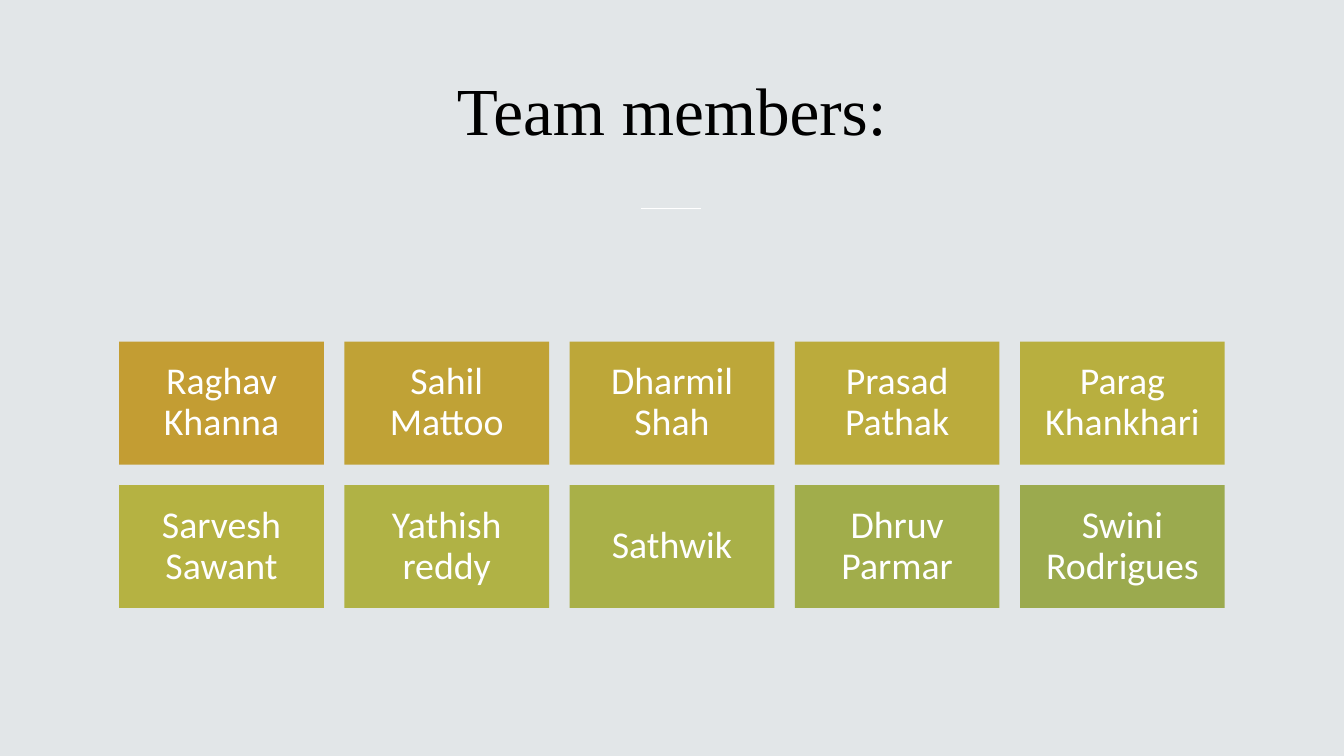
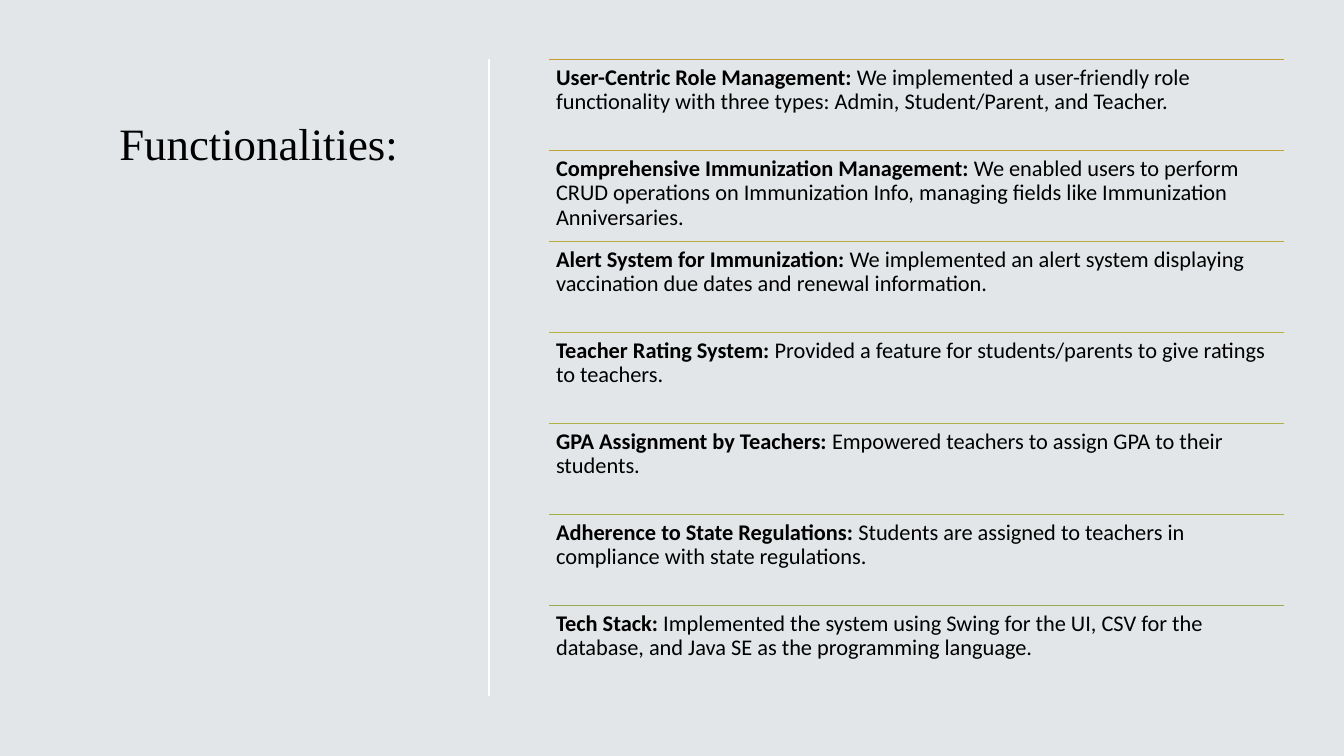
from dataclasses import dataclass

from lxml.etree import SubElement
from pptx import Presentation
from pptx.dml.color import RGBColor as RGB
from pptx.enum.shapes import MSO_CONNECTOR as Link, MSO_SHAPE as Shape
from pptx.enum.text import MSO_ANCHOR as Anchor, MSO_AUTO_SIZE as Fit, PP_ALIGN as Align
from pptx.oxml.ns import qn
from pptx.util import Pt


@dataclass(frozen=True)
class Theme:
    back: str = "E2E6E8"
    ink: str = "000000"
    light: str = "FFFFFF"
    head: str = "Times New Roman"
    body: str = "Calibri"
    large: int = 48
    title: int = 32
    name: int = 27
    text: int = 16


look = Theme()

team = [
    ("Raghav Khanna", "C39D33"),
    ("Sahil Mattoo", "C0A236"),
    ("Dharmil Shah", "BDA739"),
    ("Prasad Pathak", "BBAB3C"),
    ("Parag Khankhari", "B8AF3F"),
    ("Sarvesh Sawant", "B5B242"),
    ("Yathish reddy", "B0B245"),
    ("Sathwik", "A9B048"),
    ("Dhruv Parmar", "A1AD4B"),
    ("Swini Rodrigues", "9BAA4E"),
]

features = [
    ("User-Centric Role Management:",
     "We implemented a user-friendly role functionality with three types: "
     "Admin, Student/Parent, and Teacher.", "C39D33"),
    ("Comprehensive Immunization Management:",
     "We enabled users to perform CRUD operations on Immunization Info, "
     "managing fields like Immunization Anniversaries.", "BFA537"),
    ("Alert System for Immunization:",
     "We implemented an alert system displaying vaccination due dates "
     "and renewal information.", "BBAB3C"),
    ("Teacher Rating System:",
     "Provided a feature for students/parents to give ratings to teachers.", "B7B140"),
    ("GPA Assignment by Teachers:",
     "Empowered teachers to assign GPA to their students.", "B0B245"),
    ("Adherence to State Regulations:",
     "Students are assigned to teachers in compliance with state regulations.", "A5AE49"),
    ("Tech Stack:",
     "Implemented the system using Swing for the UI, CSV for the database, "
     "and Java SE as the programming language.", "9BAA4E"),
]


def write(frame, *runs, font=look.body, size=look.text, color=look.ink,
          align=Align.LEFT, anchor=Anchor.TOP, space=0.9, pad=(5, 5)):
    frame.word_wrap = True
    frame.auto_size = Fit.NONE
    frame.vertical_anchor = anchor
    frame.margin_left = frame.margin_right = Pt(pad[0])
    frame.margin_top = frame.margin_bottom = Pt(pad[1])
    para = frame.paragraphs[0]
    para.alignment = align
    para.line_spacing = space
    for text, bold in runs:
        run = para.add_run()
        run.text = text
        run.font.name = font
        run.font.size = Pt(size)
        run.font.bold = bold
        run.font.color.rgb = RGB.from_string(color)


def rule(slide, x1, y1, x2, y2, color, width=1):
    line = slide.shapes.add_connector(Link.STRAIGHT, Pt(x1), Pt(y1), Pt(x2), Pt(y2))
    line.line.color.rgb = RGB.from_string(color)
    line.line.width = Pt(width)
    SubElement(line._element.spPr, qn("a:effectLst"))


def start(deck, text, box, **style):
    slide = deck.slides.add_slide(deck.slide_layouts[5])
    title = slide.shapes.title
    title.left, title.top, title.width, title.height = map(Pt, box)
    write(title.text_frame, (text, False), font=look.head, space=1.1,
          pad=(7.2, 3.6), **style)
    return slide


def show_team(deck):
    slide = start(deck, "Team members:", (78, 20.2, 804, 109.4), size=look.large,
                  align=Align.CENTER, anchor=Anchor.MIDDLE)
    rule(slide, 458, 148.8, 500.4, 148.8, look.light)
    left, top, wide, cols = 85.1, 244.1, 146.25, 5
    high, gap = wide * 0.6, wide * 0.1
    for i, (name, fill) in enumerate(team):
        row, col = divmod(i, cols)
        tile = slide.shapes.add_shape(
            Shape.RECTANGLE, Pt(left + col * (wide + gap)),
            Pt(top + row * (high + gap)), Pt(wide), Pt(high))
        tile.shadow.inherit = False
        tile.fill.solid()
        tile.fill.fore_color.rgb = RGB.from_string(fill)
        tile.line.fill.background()
        write(tile.text_frame, (name, False), size=look.name, color=look.light,
              align=Align.CENTER, anchor=Anchor.MIDDLE, pad=(8, 8))


def show_features(deck):
    slide = start(deck, "Functionalities:", (78, 74.9, 220.3, 369.4), size=look.title)
    rule(slide, 349.2, 42.5, 349.2, 497.5, look.light)
    left, top, wide, step = 392.2, 42.4, 525, 65
    for i, (label, text, color) in enumerate(features):
        y = top + i * step
        rule(slide, left, y, left + wide, y, color, 0.75)
        box = slide.shapes.add_textbox(Pt(left), Pt(y), Pt(wide), Pt(step))
        write(box.text_frame, (label + " ", True), (text, False))


def main():
    deck = Presentation()
    deck.slide_width, deck.slide_height = Pt(960), Pt(540)
    fill = deck.slide_master.background.fill
    fill.solid()
    fill.fore_color.rgb = RGB.from_string(look.back)
    show_team(deck)
    show_features(deck)
    deck.save("out.pptx")


if __name__ == "__main__":
    main()
